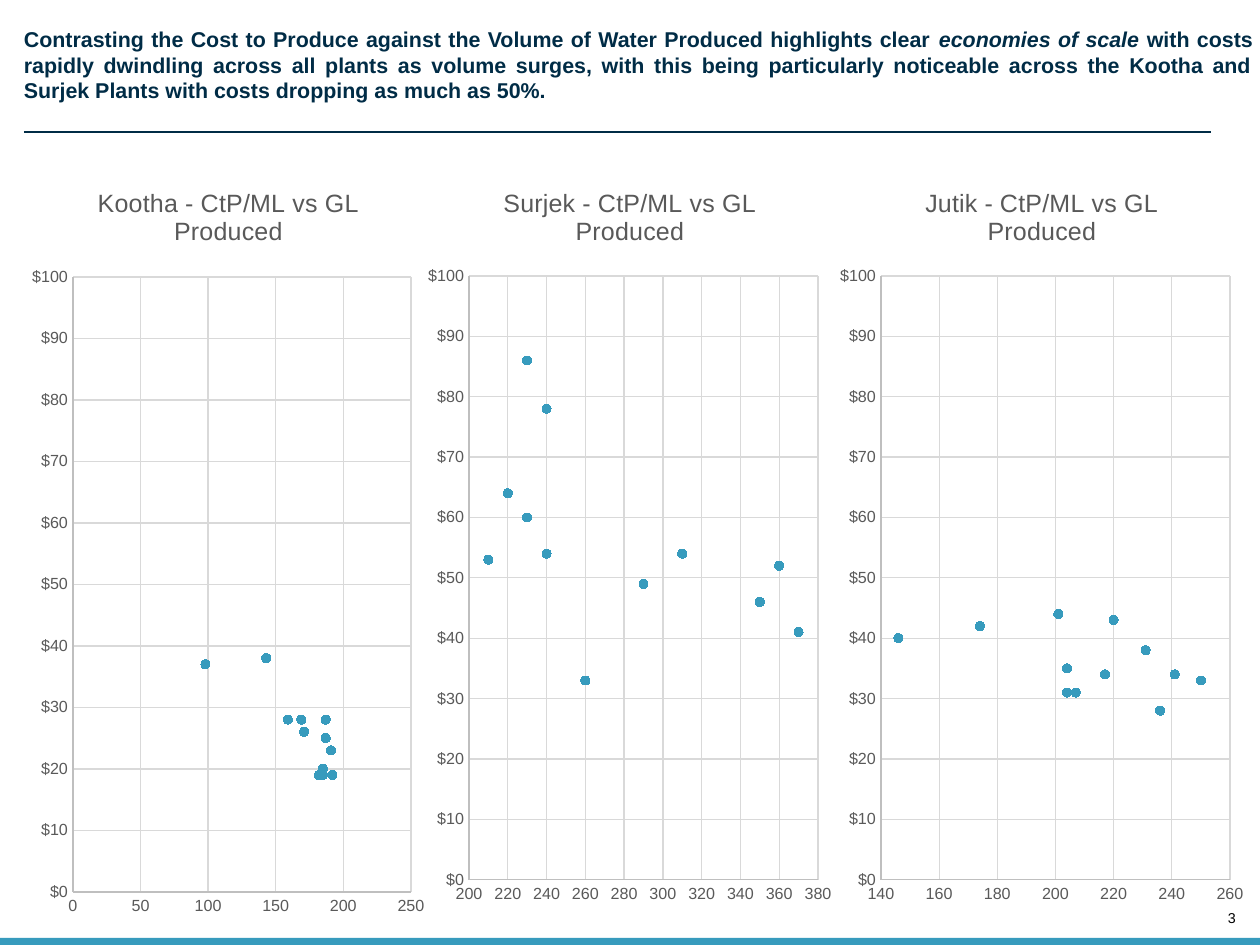
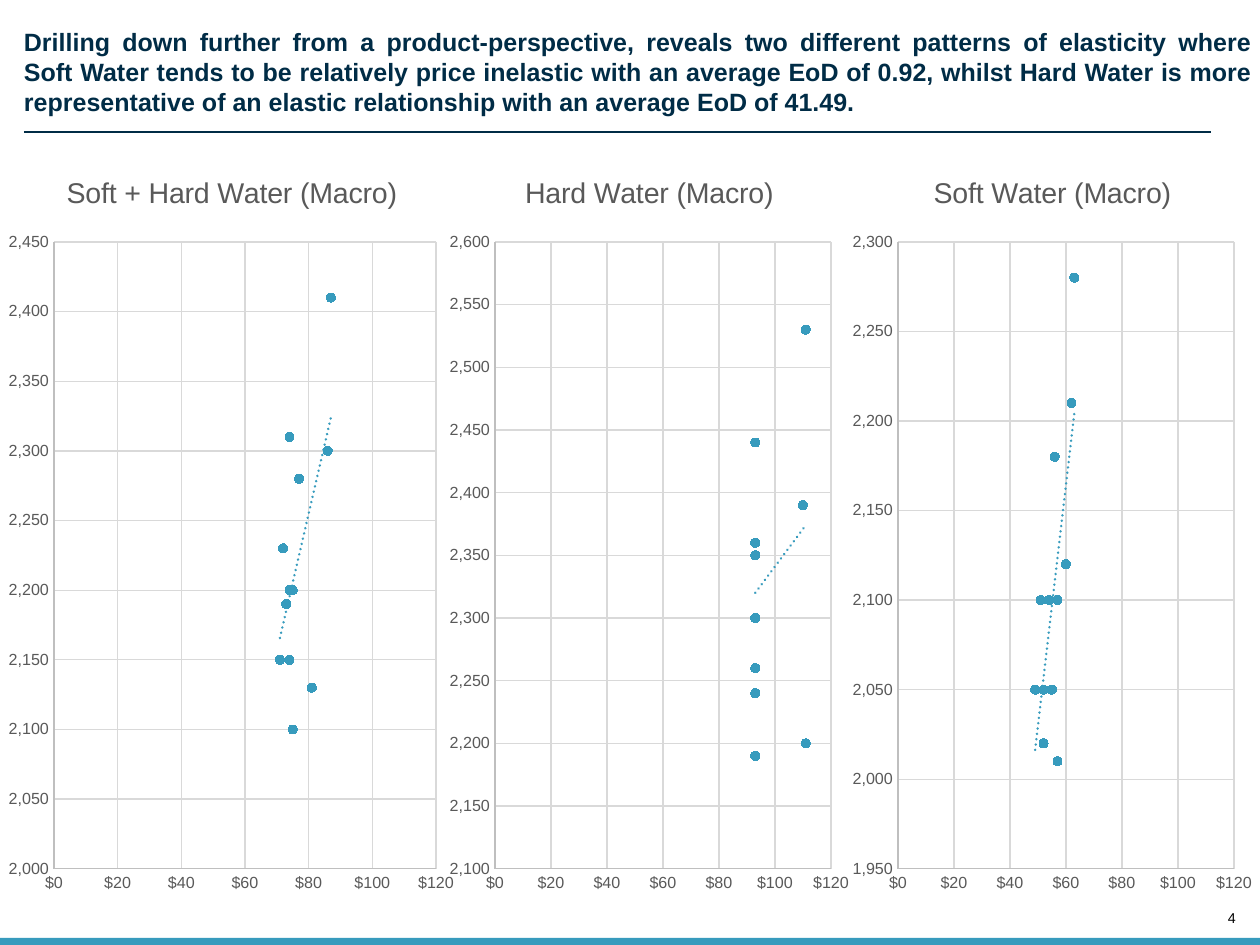
from dataclasses import dataclass

from lxml import etree
from pptx import Presentation
from pptx.chart.data import XyChartData
from pptx.dml.color import RGBColor
from pptx.enum.chart import XL_CHART_TYPE, XL_MARKER_STYLE, XL_TICK_MARK
from pptx.enum.shapes import MSO_CONNECTOR, MSO_SHAPE
from pptx.enum.text import MSO_ANCHOR, PP_ALIGN
from pptx.oxml import parse_xml
from pptx.oxml.ns import nsdecls, qn
from pptx.util import Pt

SCATTER = XL_CHART_TYPE.XY_SCATTER
CIRCLE = XL_MARKER_STYLE.CIRCLE
NO_TICK = XL_TICK_MARK.NONE
STRAIGHT = MSO_CONNECTOR.STRAIGHT
RECTANGLE = MSO_SHAPE.RECTANGLE
TOP, BOTTOM = MSO_ANCHOR.TOP, MSO_ANCHOR.BOTTOM
JUSTIFY, RIGHT = PP_ALIGN.JUSTIFY, PP_ALIGN.RIGHT

PX = 7112  # EMU per pixel
WIDTH, HEIGHT = 1260, 945
DOLLARS, WHOLE, THOUSANDS = '"$"#,##0', "0", "#,##0"


@dataclass(frozen=True)
class Theme:
    """Colours, font and type sizes of the deck."""
    font: str = "Arial"
    navy: str = "002C46"
    teal: str = "379BBD"
    black: str = "000000"
    label: str = "595959"
    axis: str = "BFBFBF"
    grid: str = "D9D9D9"
    number_size: int = 8
    label_size: int = 9
    marker_size: int = 5
    hairline: float = 0.75
    trend_width: float = 1.5


@dataclass(frozen=True)
class Scale:
    """Range, step and number format of one axis."""
    low: int
    high: int
    step: int
    number_format: str


@dataclass(frozen=True)
class Scatter:
    """One scatter chart: frame and plot as (left, top, width, height)."""
    title: str
    frame: tuple
    plot: tuple
    x_scale: Scale
    y_scale: Scale
    xs: tuple
    ys: tuple


class Deck:
    """Holds the presentation, its theme and the current slide."""

    def __init__(self, theme):
        """Start an empty deck."""
        self.theme = theme
        self.prs = Presentation()
        self.prs.slide_width, self.prs.slide_height = WIDTH * PX, HEIGHT * PX
        self.slide = None

    def style_font(self, font, size, color, bold=False):
        """Apply the deck font with a size and colour."""
        font.name, font.size, font.bold = self.theme.font, Pt(size), bold
        font.color.rgb = RGBColor.from_string(color)

    def style_line(self, line, color):
        """Draw a hairline in the given colour."""
        line.color.rgb = RGBColor.from_string(color)
        line.width = Pt(self.theme.hairline)

    def add_slide(self, number, headline, size):
        """Add a slide with headline, rule, bottom band and number."""
        self.slide = self.prs.slides.add_slide(self.prs.slide_layouts[6])
        self.text((1218, 909, 18, 17), [(str(number), False)], self.theme.number_size,
                  self.theme.black, RIGHT, BOTTOM, wrap=False)
        self.band(0, 938, WIDTH, HEIGHT - 938)
        self.text((24, 26, 1229, 90), headline, size,
                  self.theme.navy, JUSTIFY, TOP, bold=True)
        self.rule(24, 1211, 132)

    def text(self, box, runs, size, color, align, anchor, bold=False, wrap=True):
        """Add one paragraph of (text, italic) runs; a newline breaks the line."""
        frame = self.slide.shapes.add_textbox(*(v * PX for v in box)).text_frame
        frame.margin_left = frame.margin_right = 0
        frame.margin_top = frame.margin_bottom = 0
        frame.word_wrap, frame.vertical_anchor = wrap, anchor
        paragraph = frame.paragraphs[0]
        paragraph.alignment = align
        self.style_font(paragraph.font, size, color, bold)
        for content, italic in runs:
            if content == "\n":
                paragraph.add_line_break()
                continue
            run = paragraph.add_run()
            run.text = content
            if italic:
                run.font.italic = True

    def band(self, left, top, width, height):
        """Add a flat teal band."""
        band = self.slide.shapes.add_shape(
            RECTANGLE, left * PX, top * PX, width * PX, height * PX)
        band.shadow.inherit = False
        band.fill.solid()
        band.fill.fore_color.rgb = RGBColor.from_string(self.theme.teal)
        band.line.fill.background()

    def rule(self, left, right, y):
        """Add a horizontal navy rule."""
        rule = self.slide.shapes.add_connector(
            STRAIGHT, left * PX, y * PX, right * PX, y * PX)
        self.style_line(rule.line, self.theme.navy)
        etree.SubElement(rule.element.spPr, qn("a:effectLst"))

    def scatter(self, item, title_size, trend=False):
        """Add a scatter chart, with a linear trend line if asked."""
        data = XyChartData()
        points = data.add_series("Series 1")
        for x, y in zip(item.xs, item.ys):
            points.add_data_point(x, y)
        chart = self.slide.shapes.add_chart(
            SCATTER, *(v * PX for v in item.frame), data).chart
        self.style_font(chart.font, self.theme.label_size, self.theme.label)
        chart.has_legend = False
        chart.has_title = True
        heading = chart.chart_title.text_frame.paragraphs[0]
        heading.text = item.title
        self.style_font(heading.font, title_size, self.theme.label)
        chart.chart_title.include_in_layout = False
        self.axis(chart.category_axis, item.x_scale)
        self.axis(chart.value_axis, item.y_scale)
        chart.plots[0].vary_by_categories = False
        series = chart.plots[0].series[0]
        series.format.line.fill.background()
        series.marker.style, series.marker.size = CIRCLE, self.theme.marker_size
        dot = series.marker.format
        dot.fill.solid()
        dot.fill.fore_color.rgb = RGBColor.from_string(self.theme.teal)
        self.style_line(dot.line, self.theme.teal)
        self.place_plot(chart, item)
        if trend:
            self.trend_line(chart)

    def axis(self, axis, scale):
        """Style one axis and set its scale."""
        axis.minimum_scale, axis.maximum_scale = scale.low, scale.high
        axis.major_unit = scale.step
        axis.major_tick_mark = axis.minor_tick_mark = NO_TICK
        axis.has_major_gridlines = True
        self.style_line(axis.major_gridlines.format.line, self.theme.grid)
        self.style_line(axis.format.line, self.theme.axis)
        labels = axis.tick_labels
        labels.number_format, labels.number_format_is_linked = scale.number_format, False
        self.style_font(labels.font, self.theme.label_size, self.theme.label)

    def place_plot(self, chart, item):
        """Fix the inner plot area inside the chart frame."""
        left, top, width, height = item.frame
        plot_left, plot_top, plot_width, plot_height = item.plot
        shares = {"x": (plot_left - left) / width, "y": (plot_top - top) / height,
                  "w": plot_width / width, "h": plot_height / height}
        area = chart.element.find(".//" + qn("c:plotArea"))
        for old in area.findall(qn("c:layout")):
            area.remove(old)
        modes = '<c:xMode val="edge"/><c:yMode val="edge"/>'
        sizes = "".join(f'<c:{key} val="{share:.4f}"/>' for key, share in shares.items())
        area.insert(0, parse_xml(
            f'<c:layout {nsdecls("c")}><c:manualLayout><c:layoutTarget val="inner"/>'
            f'{modes}{sizes}</c:manualLayout></c:layout>'))

    def trend_line(self, chart):
        """Add a dotted linear trend line to the only series."""
        chart.element.find(".//" + qn("c:xVal")).addprevious(parse_xml(
            f'<c:trendline {nsdecls("c", "a")}><c:spPr>'
            f'<a:ln w="{Pt(self.theme.trend_width)}" cap="rnd"><a:solidFill>'
            f'<a:srgbClr val="{self.theme.teal}"/></a:solidFill>'
            '<a:prstDash val="sysDot"/></a:ln></c:spPr><c:trendlineType val="linear"/>'
            '<c:dispRSqr val="0"/><c:dispEq val="0"/></c:trendline>'))


COST = Scale(0, 100, 10, DOLLARS)
PRICE = Scale(0, 120, 20, DOLLARS)

PLANTS = (
    Scatter("Kootha - CtP/ML vs GL Produced", (24, 160, 409, 770), (73, 277, 338, 615),
            Scale(0, 250, 50, WHOLE), COST,
            (182, 187, 185, 192, 98, 185, 187, 159, 191, 171, 169, 143),
            (19, 25, 20, 19, 37, 19, 28, 28, 23, 26, 28, 38)),
    Scatter("Surjek - CtP/ML vs GL Produced", (419, 160, 422, 759), (469, 276, 349, 604),
            Scale(200, 380, 20, WHOLE), COST,
            (210, 230, 220, 240, 230, 240, 290, 310, 370, 350, 360, 260),
            (53, 60, 64, 78, 86, 54, 49, 54, 41, 46, 52, 33)),
    Scatter("Jutik - CtP/ML vs GL Produced", (831, 160, 422, 759), (881, 276, 349, 604),
            Scale(140, 260, 20, WHOLE), COST,
            (250, 207, 201, 174, 204, 146, 204, 217, 231, 236, 241, 220),
            (33, 31, 44, 42, 31, 40, 35, 34, 38, 28, 34, 43)),
)

PRODUCTS = (
    Scatter("Soft + Hard Water (Macro)", (0, 147, 464, 760), (54, 242, 382, 627),
            PRICE, Scale(2000, 2450, 50, THOUSANDS),
            (86, 87, 81, 73, 71, 72, 77, 75, 74, 75, 74, 74),
            (2300, 2410, 2130, 2190, 2150, 2230, 2280, 2200, 2150, 2100, 2200, 2310)),
    Scatter("Hard Water (Macro)", (442, 147, 415, 760), (495, 242, 336, 627),
            PRICE, Scale(2100, 2600, 50, THOUSANDS),
            (110, 111, 111, 93, 93, 93, 93, 93, 93, 93, 93, 93),
            (2390, 2530, 2200, 2350, 2240, 2360, 2440, 2300, 2260, 2190, 2300, 2440)),
    Scatter("Soft Water (Macro)", (845, 147, 415, 760), (898, 242, 336, 627),
            PRICE, Scale(1950, 2300, 50, THOUSANDS),
            (62, 63, 52, 52, 49, 51, 60, 57, 55, 57, 54, 56),
            (2210, 2280, 2050, 2020, 2050, 2100, 2120, 2100, 2050, 2010, 2100, 2180)),
)


def main():
    """Build both slides and save the deck."""
    deck = Deck(Theme())
    deck.add_slide(3, [
        ("Contrasting the Cost to Produce against the Volume of Water Produced "
         "highlights clear ", False),
        ("economies of scale", True),
        (" with costs rapidly dwindling across all plants as volume surges, with this "
         "being particularly noticeable across the Kootha and Surjek Plants with costs "
         "dropping as much as 50%.", False)], 12)
    for plant in PLANTS:
        deck.scatter(plant, 14)
    deck.add_slide(4, [
        ("Drilling down further from a product-perspective, reveals two different "
         "patterns of elasticity where", False),
        ("\n", False),
        ("Soft Water tends to be relatively price inelastic with an average EoD of 0.92, "
         "whilst Hard Water is more representative of an elastic relationship with an "
         "average EoD of 41.49.", False)], 14)
    for product in PRODUCTS:
        deck.scatter(product, 16, trend=True)
    deck.prs.save("out.pptx")


main()
